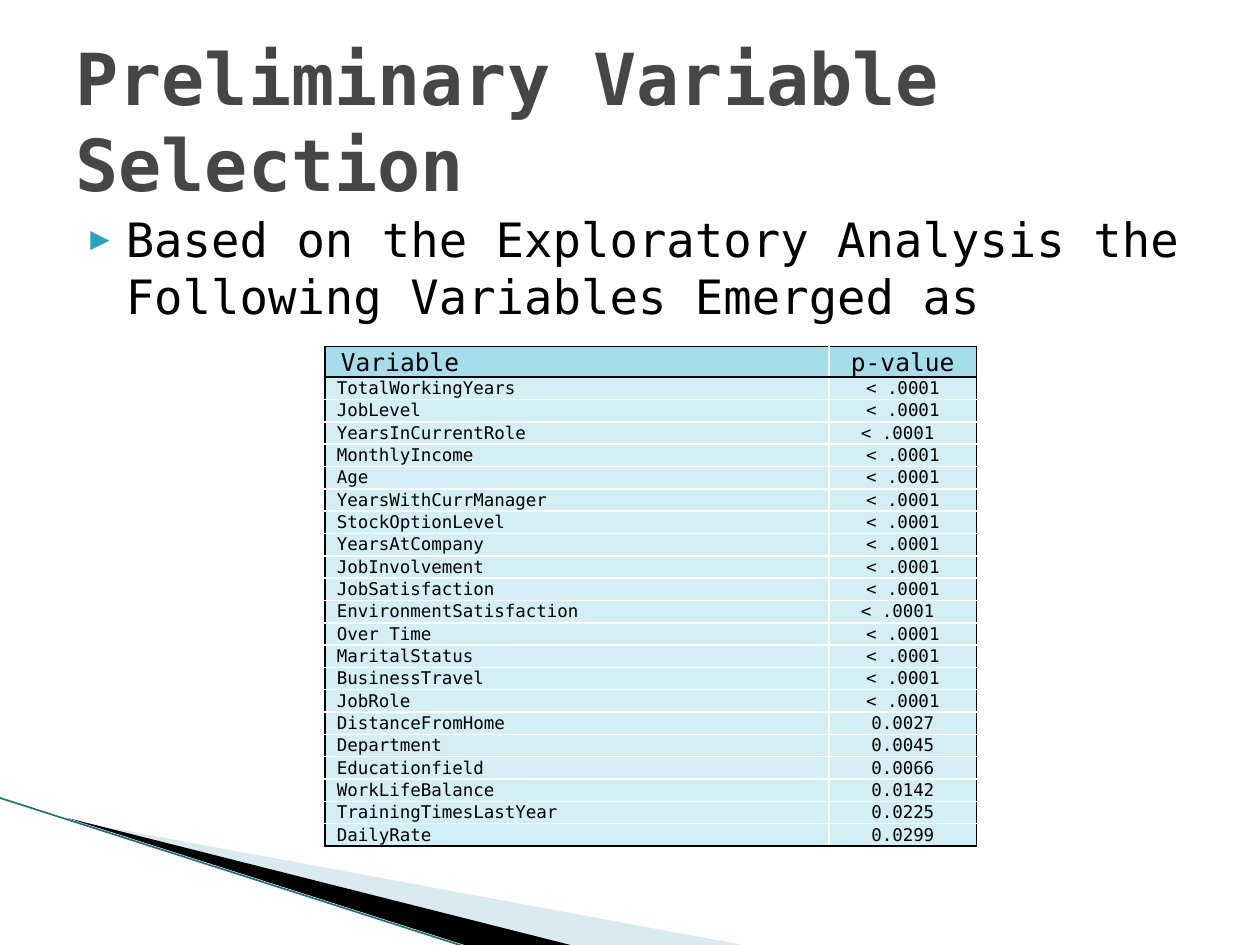
from lxml.etree import SubElement
from pptx import Presentation
from pptx.dml.color import RGBColor
from pptx.enum.shapes import MSO_CONNECTOR
from pptx.enum.text import MSO_ANCHOR, PP_ALIGN
from pptx.oxml import parse_xml
from pptx.oxml.ns import nsdecls, qn
from pptx.util import Inches, Pt

FONT = "DejaVu Sans Mono"
BLACK = RGBColor(0x00, 0x00, 0x00)
WHITE = RGBColor(0xFF, 0xFF, 0xFF)
TITLE_GREY = RGBColor(0x46, 0x46, 0x46)
BULLET_TEAL = RGBColor(0x2D, 0xA2, 0xBF)
LINE_TEAL = RGBColor(0x1F, 0x6F, 0x85)
WEDGE_BLUE = RGBColor(0xA0, 0xCB, 0xDC)
HEADER_FILL = RGBColor(0xA6, 0xDD, 0xEA)
BODY_FILL = RGBColor(0xD3, 0xEE, 0xF5)

TITLE = "Preliminary Variable Selection"
LEAD = "Based on the Exploratory Analysis the Following Variables Emerged as"
ROWS = [
    ("Variable", "p-value"),
    ("TotalWorkingYears", "< .0001"),
    ("JobLevel", "< .0001"),
    ("YearsInCurrentRole", "< .0001 "),
    ("MonthlyIncome", "< .0001"),
    ("Age", "< .0001"),
    ("YearsWithCurrManager", "< .0001"),
    ("StockOptionLevel", "< .0001"),
    ("YearsAtCompany", "< .0001"),
    ("JobInvolvement", "< .0001"),
    ("JobSatisfaction", "< .0001"),
    ("EnvironmentSatisfaction", "< .0001 "),
    ("Over Time", "< .0001"),
    ("MaritalStatus", "< .0001"),
    ("BusinessTravel", "< .0001"),
    ("JobRole", "< .0001"),
    ("DistanceFromHome", "0.0027"),
    ("Department", "0.0045"),
    ("Educationfield", "0.0066"),
    ("WorkLifeBalance", "0.0142"),
    ("TrainingTimesLastYear", "0.0225"),
    ("DailyRate", "0.0299"),
]
COLUMN_WIDTHS = (4, 1.17)
HEADER_HEIGHT, ROW_HEIGHT = 0.2, 0.16

# Corner points, fill, opacity in percent
WEDGES = [
    ([(0.55, 6.51), (5.95, 7.51), (4.56, 7.51)], WEDGE_BLUE, 40),
    ([(0.53, 6.49), (4.57, 7.51), (3.72, 7.51)], BLACK, 100),
]


def style_text(para, size, color, bold=False):
    for span in para.runs:
        span.font.name = FONT
        span.font.size = Pt(size)
        span.font.bold = bold
        span.font.color.rgb = color


def add_wedge(page, points, color, opacity):
    builder = page.shapes.build_freeform(
        Inches(points[0][0]), Inches(points[0][1]), scale=1.0)
    builder.add_line_segments(
        [(Inches(x), Inches(y)) for x, y in points[1:]], close=True)
    wedge = builder.convert_to_shape()
    wedge.shadow.inherit = False
    wedge.line.fill.background()
    wedge.fill.solid()
    wedge.fill.fore_color.rgb = color
    if opacity < 100:
        tint = wedge.fill._xPr.find(qn("a:solidFill"))[0]
        SubElement(tint, qn("a:alpha"), val=str(opacity * 1000))


def add_edge_line(page):
    edge = page.shapes.add_connector(
        MSO_CONNECTOR.STRAIGHT,
        Inches(-0.01), Inches(6.33), Inches(3.71), Inches(7.52))
    edge.line.color.rgb = LINE_TEAL
    edge.line.width = Pt(0.95)
    SubElement(edge._element.spPr, qn("a:effectLst"))


def add_text(page, text, top, height, size, color, bold=False):
    box = page.shapes.add_textbox(
        Inches(0.5), Inches(top), Inches(9), Inches(height))
    frame = box.text_frame
    frame.word_wrap = True
    frame.text = text
    style_text(frame.paragraphs[0], size, color, bold)
    return frame


def add_bullet(para):
    props = para._p.get_or_add_pPr()
    props.set("marL", str(Inches(0.4)))
    props.set("indent", str(Inches(-0.28)))
    color = SubElement(props, qn("a:buClr"))
    SubElement(color, qn("a:srgbClr"), val=str(BULLET_TEAL))
    SubElement(props, qn("a:buSzPct"), val="68000")
    SubElement(props, qn("a:buFont"), typeface=FONT)
    SubElement(props, qn("a:buChar"), char="▶")


def set_borders(cell, colors):
    """Give the 1 pt borders in the order left, right, top, bottom."""
    props = cell._tc.get_or_add_tcPr()
    for index, (side, color) in enumerate(zip("LRTB", colors)):
        props.insert(index, parse_xml(
            f'<a:ln{side} {nsdecls("a")} w="{Pt(1)}"><a:solidFill>'
            f'<a:srgbClr val="{color}"/></a:solidFill></a:ln{side}>'))


def add_variable_table(page):
    last_row, last_column = len(ROWS) - 1, len(COLUMN_WIDTHS) - 1
    table = page.shapes.add_table(
        len(ROWS), len(COLUMN_WIDTHS), Inches(2.58), Inches(2.75),
        Inches(sum(COLUMN_WIDTHS)),
        Inches(HEADER_HEIGHT + last_row * ROW_HEIGHT)).table
    for column, width in zip(table.columns, COLUMN_WIDTHS):
        column.width = Inches(width)
    for r, values in enumerate(ROWS):
        header = r == 0
        size = 14 if header else 10
        table.rows[r].height = Inches(HEADER_HEIGHT if header else ROW_HEIGHT)
        for c, value in enumerate(values):
            cell = table.cell(r, c)
            cell.text = value
            cell.fill.solid()
            cell.fill.fore_color.rgb = HEADER_FILL if header else BODY_FILL
            cell.vertical_anchor = MSO_ANCHOR.BOTTOM if header else MSO_ANCHOR.TOP
            cell.margin_left = cell.margin_right = cell.margin_top = Inches(0.01)
            cell.margin_bottom = 0
            para = cell.text_frame.paragraphs[0]
            style_text(para, size, BLACK)
            if c == 0:
                # Names stand one character in from the border
                cell.margin_left = Inches(0.01) + Pt(0.6 * size)
            else:
                para.alignment = PP_ALIGN.CENTER
            outer = (c == 0, c == last_column, r <= 1, r in (0, last_row))
            set_borders(cell, [BLACK if dark else WHITE for dark in outer])


def main():
    deck = Presentation()
    deck.slide_width, deck.slide_height = Inches(10), Inches(7.5)
    page = deck.slides.add_slide(deck.slide_layouts[6])

    for points, color, opacity in WEDGES:
        add_wedge(page, points, color, opacity)
    add_edge_line(page)

    lead = add_text(page, LEAD, 1.62, 4.95, 27, BLACK)
    lead.paragraphs[0].space_before = Pt(4)
    add_bullet(lead.paragraphs[0])

    title = add_text(page, TITLE, 0.3, 1.25, 41, TITLE_GREY, bold=True)
    title.vertical_anchor = MSO_ANCHOR.MIDDLE
    title.margin_bottom = 0

    add_variable_table(page)
    deck.save("out.pptx")


if __name__ == "__main__":
    main()
